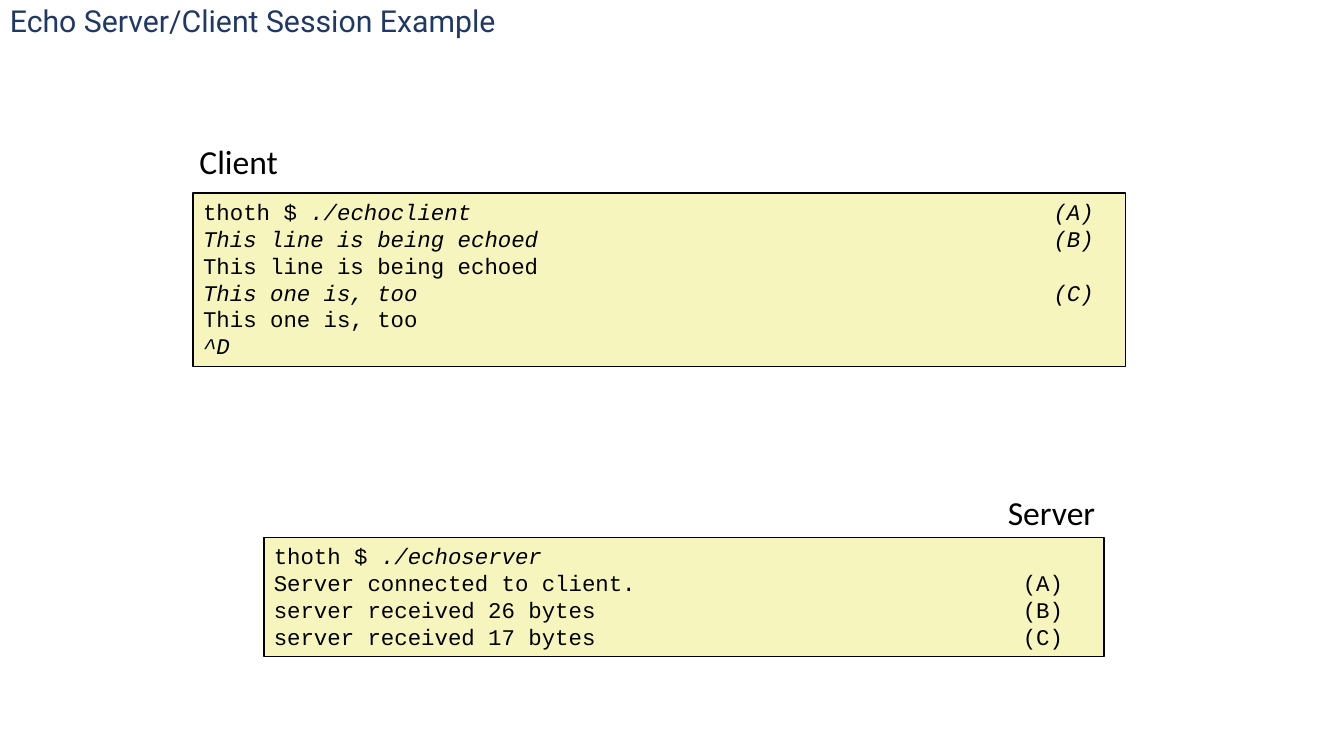
import pptx
import pptx.dml.color
import pptx.enum.shapes
import pptx.enum.text
import pptx.oxml.ns
import pptx.util
from lxml import etree

Pt = pptx.util.Pt
TITLE = {"name": "Roboto", "size": Pt(21.6), "color": "203864"}
LABEL = {"name": "Calibri", "size": Pt(24), "color": "000000"}
CODE = {"name": "Courier New", "size": Pt(16), "color": "000000"}
TYPED = {**CODE, "italic": True}
LABEL_HEIGHT = 36

# Each line is a list of (text, format) runs
CLIENT_LINES = [
    [("thoth $ ", CODE), ("./echoclient\t(A)", TYPED)],
    [("This line is being echoed\t(B)", TYPED)],
    [("This line is being echoed", CODE)],
    [("This one is, too\t(C)", TYPED)],
    [("This one is, too", CODE)],
    [("^D", TYPED)],
]
SERVER_LINES = [
    [("thoth $ ", CODE), ("./echoserver", TYPED)],
    [("Server connected to client.\t(A)", CODE)],
    [("server received 26 bytes\t(B)", CODE)],
    [("server received 17 bytes\t(C)", CODE)],
]


def rgb(hex_string):
    return pptx.dml.color.RGBColor.from_string(hex_string)


def add_run(paragraph, text, style):
    run = paragraph.add_run()
    run.text = text
    for key, value in style.items():
        if key == "color":
            run.font.color.rgb = rgb(value)
        else:
            setattr(run.font, key, value)


def add_tab_stop(paragraph, position):
    qn = pptx.oxml.ns.qn
    tab_list = etree.SubElement(paragraph._p.get_or_add_pPr(), qn("a:tabLst"))
    etree.SubElement(tab_list, qn("a:tab"), pos=str(Pt(position)), algn="l")


def add_caption(slide, box, text, style, wrap):
    """One line of text, centred vertically in its box."""
    caption = slide.shapes.add_textbox(*map(Pt, box))
    frame = caption.text_frame
    frame.word_wrap = wrap
    frame.vertical_anchor = pptx.enum.text.MSO_ANCHOR.MIDDLE
    add_run(frame.paragraphs[0], text, style)
    return frame.paragraphs[0]


def add_title(slide, box, text):
    add_caption(slide, box, text, TITLE, True).line_spacing = 0.9


def add_session(slide, box, lines, tab, label, label_offset, label_width):
    """Terminal panel, with its label placed from the panel's top left."""
    left, top, width, height = box
    panel = slide.shapes.add_shape(
        pptx.enum.shapes.MSO_SHAPE.RECTANGLE, *map(Pt, box))
    panel.shadow.inherit = False
    panel.fill.solid()
    panel.fill.fore_color.rgb = rgb("F6F5BD")
    panel.line.color.rgb = rgb("000000")
    panel.line.width = Pt(1)

    # Terminal lines, with the step marks at the tab stop
    frame = panel.text_frame
    frame.word_wrap = True
    frame.vertical_anchor = pptx.enum.text.MSO_ANCHOR.TOP
    for index, runs in enumerate(lines):
        paragraph = frame.add_paragraph() if index else frame.paragraphs[0]
        paragraph.alignment = pptx.enum.text.PP_ALIGN.LEFT
        add_tab_stop(paragraph, tab)
        for text, style in runs:
            add_run(paragraph, text, style)

    # Label above the panel
    dx, dy = label_offset
    add_caption(slide, (left + dx, top + dy, label_width, LABEL_HEIGHT),
                label, LABEL, False)


def main():
    deck = pptx.Presentation()
    deck.slide_width, deck.slide_height = Pt(960), Pt(540)
    slide = deck.slides.add_slide(deck.slide_layouts[6])

    add_title(slide, (0, 0, 860, 33), "Echo Server/Client Session Example")
    add_session(slide, (188.5, 384, 600, 85), SERVER_LINES, 535,
                "Server", (524.3, -36), 78)
    add_session(slide, (138, 138, 666, 124), CLIENT_LINES, 607.5,
                "Client", (-2.7, -41), 71)
    deck.save("out.pptx")


if __name__ == "__main__":
    main()
